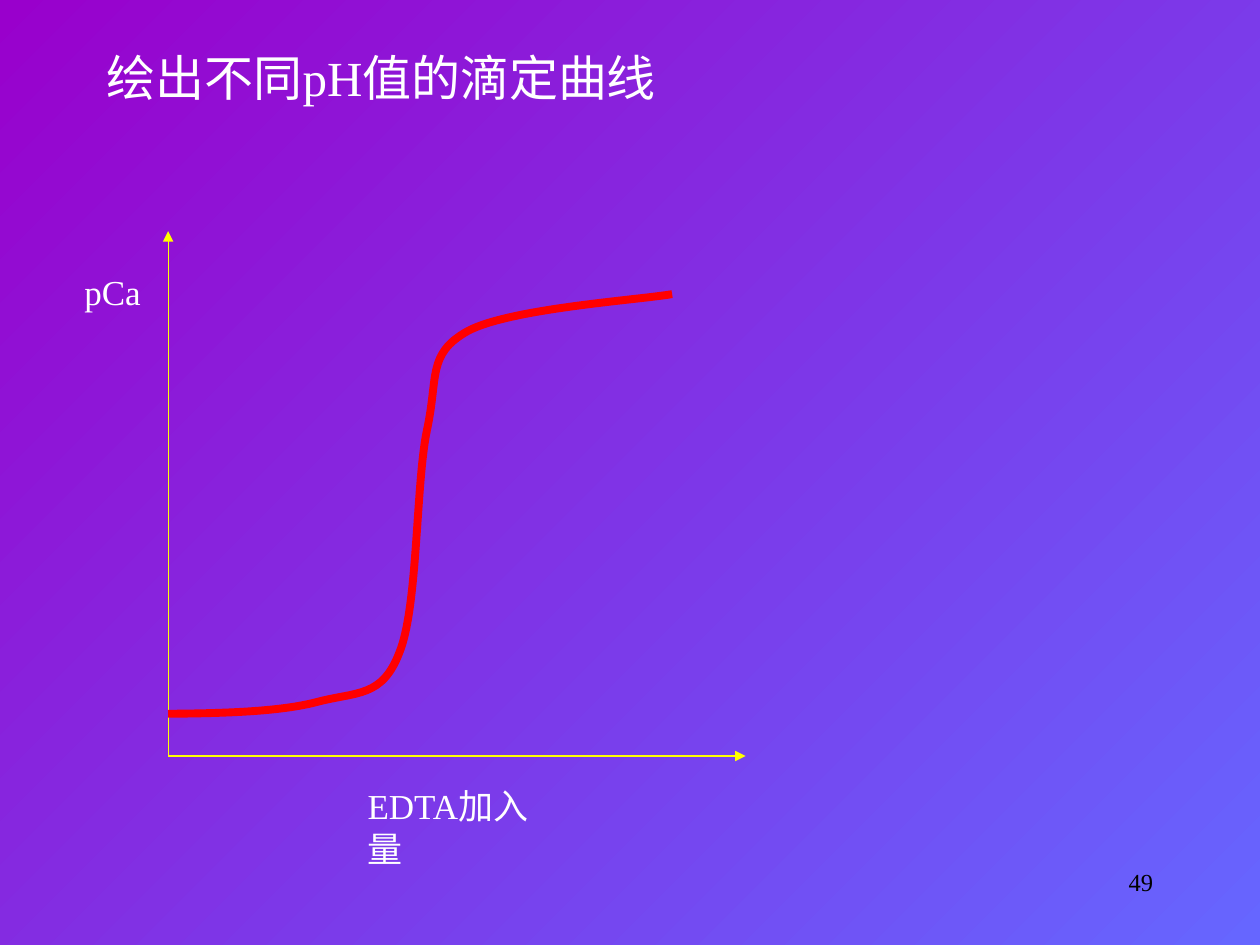
from dataclasses import dataclass

from lxml import etree
from pptx import Presentation
from pptx.dml.color import RGBColor
from pptx.enum.shapes import MSO_CONNECTOR
from pptx.enum.text import MSO_ANCHOR, MSO_AUTO_SIZE, PP_ALIGN
from pptx.oxml.ns import qn
from pptx.util import Cm, Pt

STRAIGHT = MSO_CONNECTOR.STRAIGHT
TOP = MSO_ANCHOR.TOP
NO_AUTOFIT = MSO_AUTO_SIZE.NONE
LEFT, RIGHT = PP_ALIGN.LEFT, PP_ALIGN.RIGHT


@dataclass(frozen=True)
class Theme:
    font: str = "Times New Roman"
    background_start: RGBColor = RGBColor(0x99, 0x00, 0xCC)
    background_end: RGBColor = RGBColor(0x66, 0x66, 0xFF)
    text: RGBColor = RGBColor(0xFF, 0xFF, 0xFF)
    page_number: RGBColor = RGBColor(0x00, 0x00, 0x00)
    axis: RGBColor = RGBColor(0xFF, 0xFF, 0x00)
    curve: RGBColor = RGBColor(0xFF, 0x00, 0x00)
    title_size: Pt = Pt(28)
    label_size: Pt = Pt(20)
    number_size: Pt = Pt(14)
    axis_width: Pt = Pt(0.75)
    curve_width: Pt = Pt(4.5)


THEME = Theme()

# All positions are in centimetres.
ORIGIN = (3.39, 15.24)
X_AXIS_END = (15.03, ORIGIN[1])
Y_AXIS_END = (ORIGIN[0], 4.66)
CURVE_START = (ORIGIN[0], 14.39)
# Each segment: two control points, then the end point.
CURVE_SEGMENTS = [
    [(4.5, 14.38), (5.64, 14.35), (6.4, 14.15)],
    [(7.19, 13.94), (7.7, 14.07), (8.05, 13.16)],
    [(8.43, 12.24), (8.38, 9.75), (8.61, 8.66)],
    [(8.84, 7.59), (8.61, 7.14), (9.42, 6.68)],
    [(10.26, 6.22), (12.85, 6.05), (13.55, 5.93)],
]


def to_lengths(point):
    return tuple(Cm(value) for value in point)


def paint_background(slide):
    fill = slide.background.fill
    fill.gradient()
    fill.gradient_angle = 315
    colors = (THEME.background_start, THEME.background_end)
    for position, (stop, color) in enumerate(zip(fill.gradient_stops, colors)):
        stop.position = position
        stop.color.rgb = color


def write_text(shape, text, size, color=THEME.text, alignment=LEFT):
    frame = shape.text_frame
    frame.text = text
    frame.word_wrap = True
    frame.auto_size = NO_AUTOFIT
    frame.vertical_anchor = TOP
    paragraph = frame.paragraphs[0]
    paragraph.alignment = alignment
    font = paragraph.runs[0].font
    font.name = THEME.font
    font.size = size
    font.color.rgb = color


def set_title(slide, text, left, top, width, height):
    title = slide.shapes.title
    title.left, title.top = Cm(left), Cm(top)
    title.width, title.height = Cm(width), Cm(height)
    write_text(title, text, THEME.title_size)


def add_label(slide, text, box, size=THEME.label_size, **style):
    label = slide.shapes.add_textbox(*to_lengths(box))
    write_text(label, text, size, **style)


def add_axis(slide, end):
    axis = slide.shapes.add_connector(STRAIGHT, *to_lengths(ORIGIN), *to_lengths(end))
    axis.line.color.rgb = THEME.axis
    axis.line.width = THEME.axis_width
    properties = axis._element.spPr
    line = properties.find(qn("a:ln"))
    etree.SubElement(line, qn("a:tailEnd"), type="triangle")
    etree.SubElement(properties, qn("a:effectLst"))


def add_curve(slide):
    """Build a freeform through the end points, then bend its lines into Béziers."""
    builder = slide.shapes.build_freeform(*to_lengths(CURVE_START))
    end_points = [to_lengths(segment[-1]) for segment in CURVE_SEGMENTS]
    builder.add_line_segments(end_points, close=False)
    curve = builder.convert_to_shape()
    curve.shadow.inherit = False
    curve.fill.background()
    curve.line.color.rgb = THEME.curve
    curve.line.width = THEME.curve_width

    lines = list(curve._element.iter(qn("a:lnTo")))
    for line, segment in zip(lines, CURVE_SEGMENTS):
        bezier = etree.Element(qn("a:cubicBezTo"))
        for x, y in map(to_lengths, segment):
            etree.SubElement(bezier, qn("a:pt"), x=str(x - curve.left), y=str(y - curve.top))
        line.getparent().replace(line, bezier)


def main():
    presentation = Presentation()
    presentation.slide_width, presentation.slide_height = Cm(25.4), Cm(19.05)
    slide = presentation.slides.add_slide(presentation.slide_layouts[5])
    paint_background(slide)
    set_title(slide, "绘出不同pH值的滴定曲线", 1.9, 0.84, 11.6, 1.45)
    for end in (X_AXIS_END, Y_AXIS_END):
        add_axis(slide, end)
    add_curve(slide)
    add_label(slide, "EDTA加入量", (7.16, 15.7, 4.2, 1.1))
    add_label(slide, "pCa", (1.45, 5.33, 1.8, 1.1))
    add_label(slide, "49", (18.2, 17.35, 5.3, 1.27), THEME.number_size,
              color=THEME.page_number, alignment=RIGHT)
    presentation.save("out.pptx")


if __name__ == "__main__":
    main()
